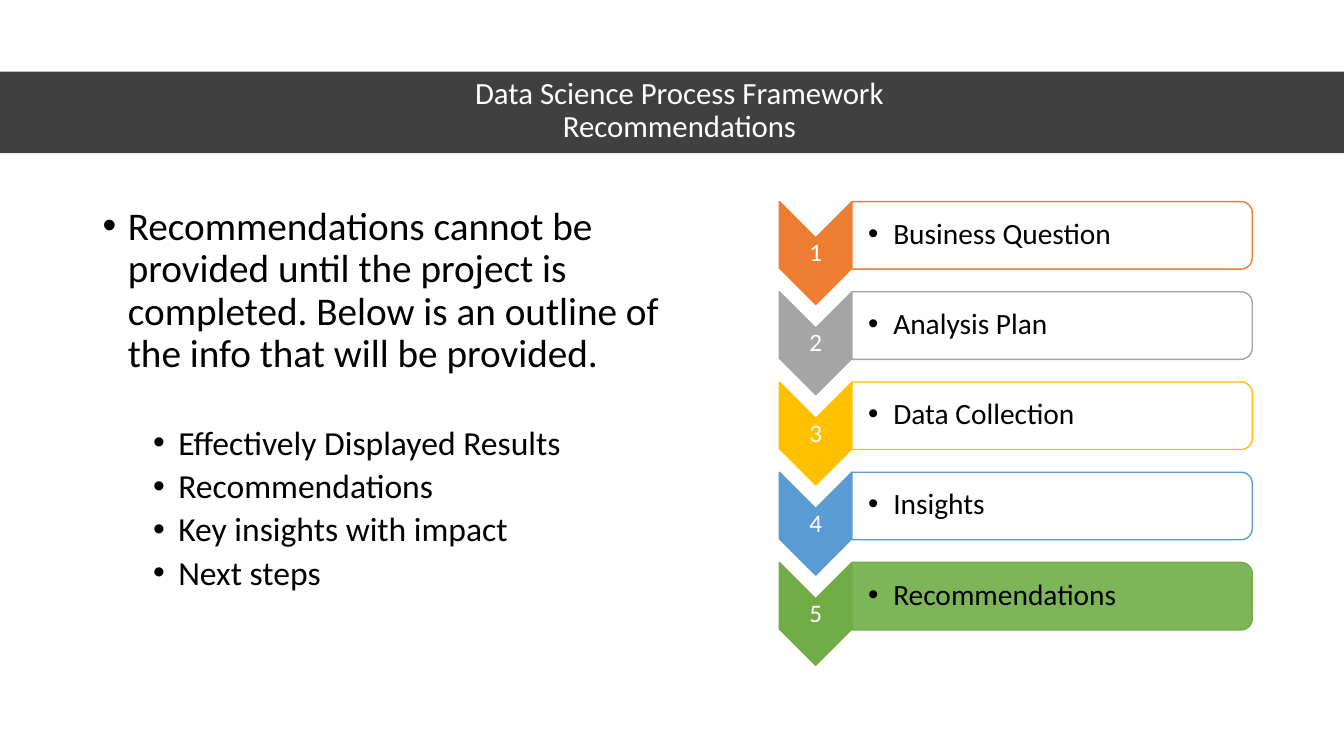
from lxml.etree import SubElement
from pptx import Presentation
from pptx.dml.color import RGBColor
from pptx.enum.shapes import MSO_SHAPE
from pptx.enum.text import MSO_ANCHOR, PP_ALIGN
from pptx.oxml.ns import qn
from pptx.util import Inches, Pt

COLORS = {
    "black": "000000",
    "white": "FFFFFF",
    "orange": "ED7D31",
    "gray": "A5A5A5",
    "gold": "FFC000",
    "blue": "5B9BD5",
    "green": "70AD47",
}
STEPS = [
    ("Business Question", "orange", "white"),
    ("Analysis Plan", "gray", "white"),
    ("Data Collection", "gold", "white"),
    ("Insights", "blue", "white"),
    ("Recommendations", "green", "green"),
]
STEP_PITCH = 3.58 / 4
INTRO = ("Recommendations cannot be provided until the project is completed. "
         "Below is an outline of the info that will be provided.")
OUTLINE = ["Effectively Displayed Results", "Recommendations",
           "Key insights with impact", "Next steps"]


def rgb(name):
    """Return the named colour."""
    return RGBColor.from_string(COLORS[name])


def add_block(s, kind, box, fill, line=None, alpha=100, rotation=0):
    """Add a filled preset shape."""
    sp = s.shapes.add_shape(kind, *map(Inches, box))
    sp.shadow.inherit = False
    sp.rotation = rotation
    sp.fill.solid()
    sp.fill.fore_color.rgb = rgb(fill)
    if alpha < 100:
        color = sp.fill._xPr.find(qn("a:solidFill"))[0]
        SubElement(color, qn("a:alpha"), val=str(alpha * 1000))
    if line:
        sp.line.color.rgb = rgb(line)
        sp.line.width = Pt(1)
    else:
        sp.line.fill.background()
    return sp


def add_text_frame(s, box, anchor=MSO_ANCHOR.MIDDLE, margins=None):
    """Add a wrapping text box and return its text frame."""
    tf = s.shapes.add_textbox(*map(Inches, box)).text_frame
    tf.word_wrap = True
    tf.vertical_anchor = anchor
    if margins:
        tf.margin_left, tf.margin_top, tf.margin_right, tf.margin_bottom = map(Inches, margins)
    return tf


def add_run(p, text, size, color="black"):
    """Add one run of Calibri text."""
    r = p.add_run()
    r.text = text
    r.font.name = "Calibri"
    r.font.size = Pt(size)
    r.font.color.rgb = rgb(color)


def set_bullet(p, indent):
    """Give a paragraph a round bullet with a hanging indent."""
    pPr = p._p.get_or_add_pPr()
    pPr.set("marL", str(Inches(indent)))
    pPr.set("indent", str(Inches(-0.25)))
    SubElement(pPr, qn("a:buFont"), typeface="Arial")
    SubElement(pPr, qn("a:buChar"), char="•")


def add_bullet(p, text, size, indent=0.25, before=0):
    """Write a bulleted paragraph."""
    p.line_spacing = 0.9
    p.space_before = Pt(before)
    set_bullet(p, indent)
    add_run(p, text, size)


def add_title(s):
    """Add the dark band and the two-line title."""
    add_block(s, MSO_SHAPE.RECTANGLE, (0, 0.71, 13.33, 0.81), "black", alpha=75)
    p = add_text_frame(s, (0.61, 0.7, 12.26, 0.81)).paragraphs[0]
    p.alignment = PP_ALIGN.CENTER
    p.line_spacing = 0.9
    add_run(p, "Data Science Process Framework", 22, "white")
    p.add_line_break()
    add_run(p, "Recommendations", 22, "white")


def add_outline(s):
    """Add the introduction and its outline."""
    tf = add_text_frame(s, (0.92, 2, 5.75, 4.76), MSO_ANCHOR.TOP)
    add_bullet(tf.paragraphs[0], INTRO, 28, before=10)
    for i, text in enumerate(OUTLINE):
        p = tf.add_paragraph()
        p.level = 1
        add_bullet(p, text, 24, indent=0.75, before=5 if i else 36)


def add_step(s, i, label, color, fill):
    """Add one numbered chevron with its label box."""
    dy = i * STEP_PITCH
    add_block(s, MSO_SHAPE.CHEVRON, (7.58, 2.15 + dy, 1.02, 0.72), color, color, rotation=90)
    tf = add_text_frame(s, (7.73, 2.36 + dy, 0.72, 0.31), margins=[0.01] * 4)
    p = tf.paragraphs[0]
    p.alignment = PP_ALIGN.CENTER
    p.line_spacing = 0.9
    add_run(p, str(i + 1), 18, "white")
    add_block(s, MSO_SHAPE.ROUND_2_SAME_RECTANGLE, (10.1, 0.35 + dy, 0.67, 3.97),
              fill, color, alpha=90, rotation=90)
    tf = add_text_frame(s, (8.45, 2.03 + dy, 3.94, 0.6), margins=(0.16, 0.01, 0.01, 0.01))
    add_bullet(tf.paragraphs[0], label, 21)


def main():
    """Build the slide and save it."""
    prs = Presentation()
    prs.slide_width, prs.slide_height = Inches(13.33), Inches(7.5)
    s = prs.slides.add_slide(prs.slide_layouts[6])
    add_title(s)
    add_outline(s)
    for i, step in enumerate(STEPS):
        add_step(s, i, *step)
    prs.save("out.pptx")


main()
